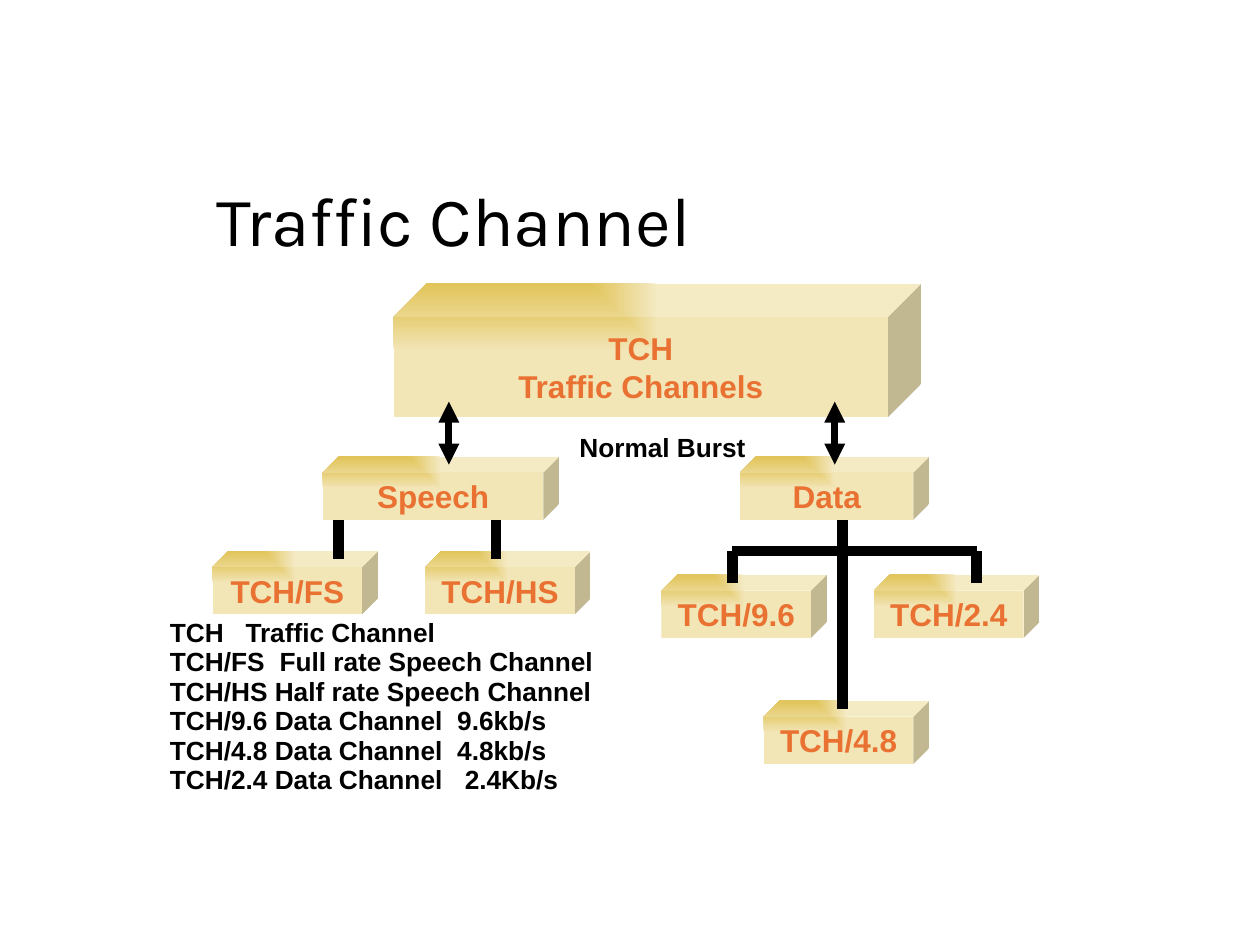
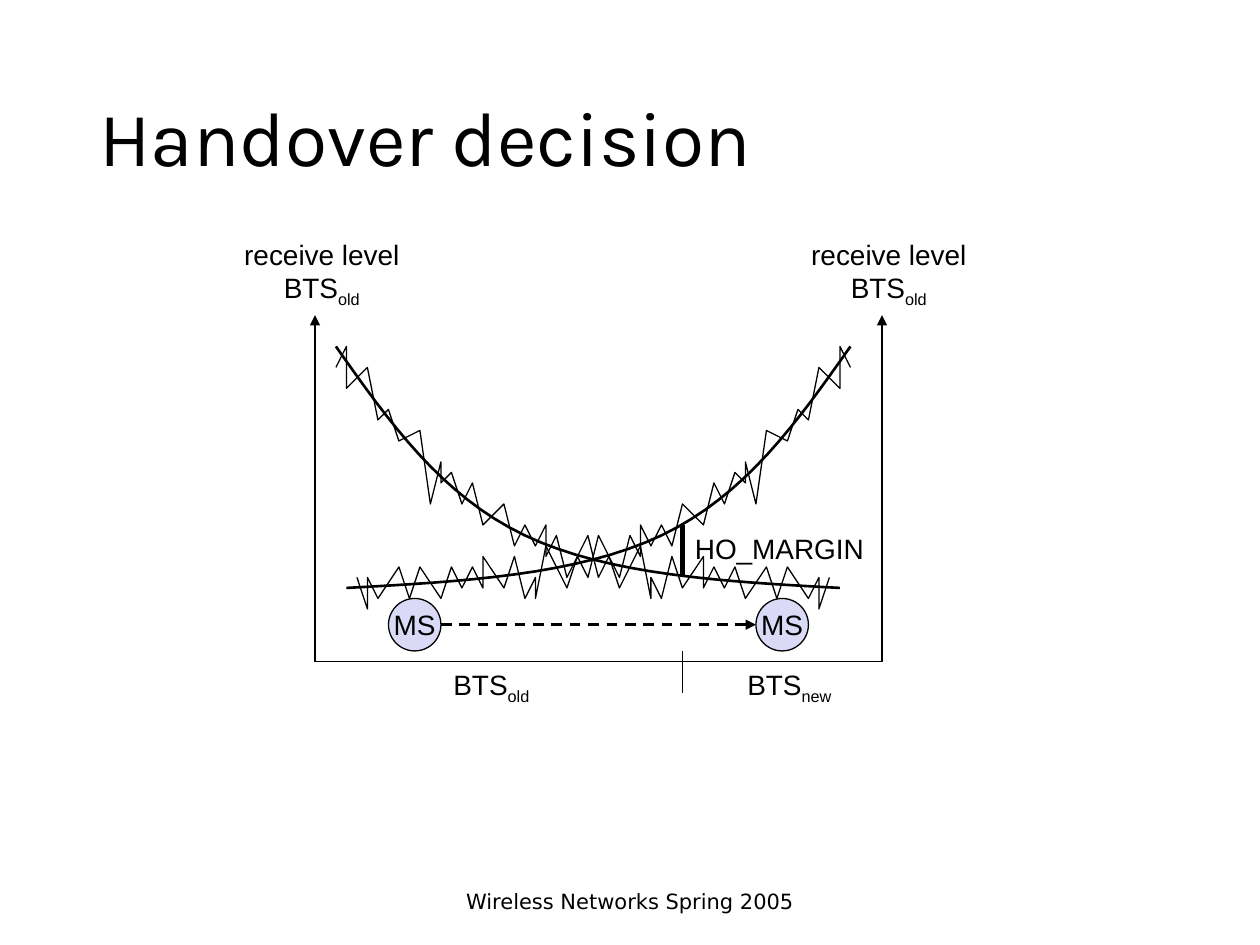
import dataclasses

import pptx
import pptx.dml.color
import pptx.enum.dml
import pptx.enum.shapes
import pptx.enum.text
import pptx.oxml
import pptx.oxml.ns
import pptx.util

Inches = pptx.util.Inches
Pt = pptx.util.Pt
PRESET = pptx.enum.shapes.MSO_SHAPE
ALIGN = pptx.enum.text.PP_ALIGN
ANCHOR = pptx.enum.text.MSO_ANCHOR
qn = pptx.oxml.ns.qn
SLIDE_WIDTH, SLIDE_HEIGHT = 10, 7.5


@dataclasses.dataclass(frozen=True)
class Theme:
    title_font: str = "Karla"
    body_font: str = "Arial"
    footer_font: str = "DejaVu Sans"
    ink: str = "000000"
    cube_text: str = "E97132"
    cube_dark: str = "DAB630"
    cube_light: str = "F2E5B6"
    station: str = "DADAF6"
    cube_size: float = 18
    label_size: float = 16
    legend_size: float = 15
    footer_size: float = 12
    thin: float = 0.75
    medium: float = 1.5
    heavy: float = 3
    arrow: float = 4
    branch: float = 6


THEME = Theme()


@dataclasses.dataclass(frozen=True)
class Grid:
    """A box in inches, divided into columns and rows."""
    left: float
    top: float
    width: float
    height: float
    columns: int
    rows: int

    def point(self, column, row):
        return (Inches(self.left + column * self.width / self.columns),
                Inches(self.top + row * self.height / self.rows))

    def area(self, column, row, columns, rows):
        left, top = self.point(column, row)
        right, bottom = self.point(column + columns, row + rows)
        return left, top, right - left, bottom - top


PAGE = Grid(0, 0, SLIDE_WIDTH, SLIDE_HEIGHT, 100, 100)


def rgb(color):
    return pptx.dml.color.RGBColor.from_string(color)


def set_font(font, name, size, color=THEME.ink, bold=False):
    font.name, font.size, font.bold = name, Pt(size), bold
    font.color.rgb = rgb(color)


def write_lines(frame, lines, size, color=THEME.ink, bold=False,
                align=ALIGN.LEFT, font=THEME.body_font):
    """Write one paragraph a line; a (text, subscript) pair lowers its second part."""
    for index, line in enumerate(lines):
        paragraph = frame.paragraphs[0] if index == 0 else frame.add_paragraph()
        text, subscript = (line, "") if isinstance(line, str) else line
        paragraph.add_run().text = text
        if subscript:
            run = paragraph.add_run()
            run.text = subscript
            run.font._element.set("baseline", "-25000")
        paragraph.alignment = align
        set_font(paragraph.font, font, size, color, bold)


def add_title(slide, text, area, size):
    title = slide.shapes.title
    title.left, title.top, title.width, title.height = area
    frame = title.text_frame
    frame.auto_size = pptx.enum.text.MSO_AUTO_SIZE.NONE
    frame.vertical_anchor = ANCHOR.MIDDLE
    write_lines(frame, [text], size, font=THEME.title_font)
    frame.paragraphs[0].line_spacing = 0.9


def add_label(slide, lines, area, size, wrap=False, **style):
    frame = slide.shapes.add_textbox(*area).text_frame
    frame.word_wrap = wrap
    write_lines(frame, lines, size, **style)
    return frame


def add_filled(slide, preset, lines, area, size, color):
    """Add a shape with centred text that does not wrap."""
    shape = slide.shapes.add_shape(preset, *area)
    shape.shadow.inherit = False
    frame = shape.text_frame
    frame.word_wrap = False
    frame.vertical_anchor = ANCHOR.MIDDLE
    write_lines(frame, lines, size, color, bold=preset == PRESET.CUBE,
                align=ALIGN.CENTER)
    return shape


def add_cube(slide, lines, area):
    cube = add_filled(slide, PRESET.CUBE, lines, area, THEME.cube_size, THEME.cube_text)
    cube.adjustments[0] = 0.25
    cube.line.fill.background()
    cube.fill.gradient()
    for stop, color in zip(cube.fill.gradient_stops, (THEME.cube_dark, THEME.cube_light)):
        stop.color.rgb = rgb(color)
    gradient = cube.element.spPr.find(qn("a:gradFill"))
    gradient.replace(gradient.find(qn("a:lin")), pptx.oxml.parse_xml(
        f'<a:path {pptx.oxml.ns.nsdecls("a")} path="rect">'
        '<a:fillToRect r="100000" b="100000"/></a:path>'))


def add_line(slide, start, end, width, arrows=(), dashed=False):
    """Join two points; arrows names the ends, headEnd or tailEnd, that get a triangle."""
    connector = slide.shapes.add_connector(
        pptx.enum.shapes.MSO_CONNECTOR.STRAIGHT, *start, *end)
    connector.line.color.rgb = rgb(THEME.ink)
    connector.line.width = Pt(width)
    if dashed:
        connector.line.dash_style = pptx.enum.dml.MSO_LINE.DASH
    properties = connector.element.spPr
    for arrow in arrows:
        end_mark = pptx.oxml.parse_xml(
            f'<a:{arrow} {pptx.oxml.ns.nsdecls("a")} type="triangle"/>')
        properties.find(qn("a:ln")).append(end_mark)
    properties.append(pptx.oxml.parse_xml(f'<a:effectLst {pptx.oxml.ns.nsdecls("a")}/>'))


def add_outline(slide, points, width):
    builder = slide.shapes.build_freeform(*points[0])
    builder.add_line_segments(points[1:], close=False)
    shape = builder.convert_to_shape()
    shape.shadow.inherit = False
    shape.fill.background()
    shape.line.color.rgb = rgb(THEME.ink)
    shape.line.width = Pt(width)


def draw_channel_tree(slide, grid):
    leaf_size = (21, 8)
    cubes = [
        (["TCH", "Traffic Channels"], 30, 0, 67, 17),
        (["Speech"], 21, 22, 30, 8),
        (["TCH/FS"], 7, 34, *leaf_size),
        (["Data"], 74, 22, 24, 8),
        (["TCH/HS"], 34, 34, *leaf_size),
        (["TCH/9.6"], 64, 37, *leaf_size),
        (["TCH/2.4"], 91, 37, *leaf_size),
        (["TCH/4.8"], 77, 53, *leaf_size),
    ]
    for lines, *place in cubes:
        add_cube(slide, lines, grid.area(*place))
    for column in (37, 86):
        add_line(slide, grid.point(column, 15), grid.point(column, 23),
                 THEME.arrow, ("headEnd", "tailEnd"))
    for column, top, bottom in [(23, 30, 35), (43, 30, 35), (87, 30, 54),
                                (104, 34, 38), (73, 34, 38)]:
        add_line(slide, grid.point(column, top), grid.point(column, bottom), THEME.branch)
    add_line(slide, grid.point(73, 34), grid.point(104, 34), THEME.branch)
    add_label(slide, ["Normal Burst"], grid.area(52, 18, 25, 5.6),
              THEME.legend_size, wrap=True, bold=True)


def draw_legend(slide, area):
    entries = [
        ("TCH\tTraffic Channel", 0.6),
        ("TCH/FS\tFull rate Speech Channel", 0.87),
        ("TCH/HS Half rate Speech Channel", None),
        ("TCH/9.6 Data Channel\t9.6kb/s", 2.28),
        ("TCH/4.8 Data Channel\t4.8kb/s", 2.28),
        ("TCH/2.4 Data Channel\t2.4Kb/s", 2.34),
    ]
    frame = add_label(slide, [text for text, _ in entries], area,
                      THEME.legend_size, wrap=True, bold=True)
    for index, (paragraph, (_, stop)) in enumerate(zip(frame.paragraphs, entries)):
        paragraph.line_spacing = 0.5
        if index:
            paragraph.space_before = Pt(7.8)
        if stop:
            tabs = pptx.oxml.parse_xml(
                f'<a:tabLst {pptx.oxml.ns.nsdecls("a")}>'
                f'<a:tab pos="{Inches(stop)}" algn="l"/></a:tabLst>')
            properties = paragraph._p.get_or_add_pPr()
            default_font = properties.find(qn("a:defRPr"))
            default_font.addprevious(tabs)


def bezier(start, first, second, end, steps=16):
    """Sample a cubic curve, leaving out its start."""
    for step in range(1, steps + 1):
        t = step / steps
        u = 1 - t
        yield tuple(u**3 * a + 3 * u * u * t * b + 3 * u * t * t * c + t**3 * d
                    for a, b, c, d in zip(start, first, second, end))


def draw_levels(slide, grid):
    """Draw the falling level, its noise, and both mirrored for the new station."""
    start, middle, end = (2, 3), (20, 21), (50, 26)
    curve = [start, *bezier(start, (7, 10.1), (12, 17.2), middle),
             *bezier(middle, (28, 24.8), (39, 25.4), end)]
    noise = [
        (2, 5), (3, 3), (3, 7), (5, 5), (6, 10), (7, 9), (8, 12), (10, 11),
        (11, 18), (12, 14), (12, 16), (13, 15), (14, 18), (15, 16), (16, 20),
        (18, 18), (19, 22), (20, 20), (21, 22), (22, 20), (22, 23), (23, 21),
        (24, 25), (26, 21), (27, 25), (28, 23), (29, 26), (31, 22), (32, 27),
        (32, 25), (33, 27), (34, 23), (35, 26), (37, 23), (37, 26), (38, 24),
        (39, 26), (40, 24), (41, 27), (43, 24), (44, 27), (45, 24), (47, 27),
        (48, 25), (48, 28), (49, 25),
    ]
    mirror_sum = 53
    for level, width in ((curve, THEME.medium), (noise, THEME.thin)):
        mirrored = [(mirror_sum - column, row) for column, row in level]
        for points in (level, mirrored):
            add_outline(slide, [grid.point(*point) for point in points], width)


def draw_handover_chart(slide, grid):
    for column in (0, grid.columns):
        add_line(slide, grid.point(column, grid.rows), grid.point(column, 0),
                 THEME.thin, ("tailEnd",))
        add_label(slide, ["receive level", ("BTS", "old")],
                  grid.area(column - 8, -8, 17.3, 7.7), THEME.label_size,
                  align=ALIGN.CENTER)
    add_line(slide, grid.point(0, grid.rows), grid.point(grid.columns, grid.rows), THEME.thin)
    for column in (7, 42):
        station = add_filled(slide, PRESET.OVAL, ["MS"], grid.area(column, 27, 5, 5),
                             THEME.label_size, THEME.ink)
        station.fill.solid()
        station.fill.fore_color.rgb = rgb(THEME.station)
        station.line.color.rgb = rgb(THEME.ink)
        station.line.width = Pt(THEME.thin)
    add_line(slide, grid.point(12, 29.5), grid.point(42, 29.5), THEME.medium,
             ("tailEnd",), dashed=True)
    draw_levels(slide, grid)
    handover = 35
    add_line(slide, grid.point(handover, 25), grid.point(handover, 20), THEME.heavy)
    add_line(slide, grid.point(handover, 32), grid.point(handover, 36), THEME.thin)
    for line, column, row, columns in [("HO_MARGIN", handover, 20, 18.6),
                                       (("BTS", "old"), 12, 33, 10),
                                       (("BTS", "new"), 40, 33, 11)]:
        add_label(slide, [line], grid.area(column, row, columns, 4.5), THEME.label_size)


def add_footer(slide, text, area):
    frame = add_label(slide, [text], area, THEME.footer_size, wrap=True,
                      align=ALIGN.CENTER, font=THEME.footer_font)
    frame.vertical_anchor = ANCHOR.MIDDLE


def build_traffic_slide(slide):
    add_title(slide, "Traffic Channel", PAGE.area(16.2, 20.1, 68.1, 7.3), 39.6)
    grid = Grid(1.25, 2.25, 7, 4.25, 112, 68)
    draw_channel_tree(slide, grid)
    draw_legend(slide, grid.area(0, 43.2, 62, 24))


def build_handover_slide(slide):
    add_title(slide, "Handover decision", PAGE.area(6.9, 5.3, 86.2, 19.3), 44)
    add_footer(slide, "Wireless Networks Spring 2005", PAGE.area(33.1, 92.7, 33.8, 5.3))
    draw_handover_chart(slide, Grid(2.5, 2.5, 4.5, 2.75, 54, 33))


def main():
    presentation = pptx.Presentation()
    presentation.slide_width = Inches(SLIDE_WIDTH)
    presentation.slide_height = Inches(SLIDE_HEIGHT)
    title_only = presentation.slide_layouts[5]
    for build in (build_traffic_slide, build_handover_slide):
        build(presentation.slides.add_slide(title_only))
    presentation.save("out.pptx")


if __name__ == "__main__":
    main()
